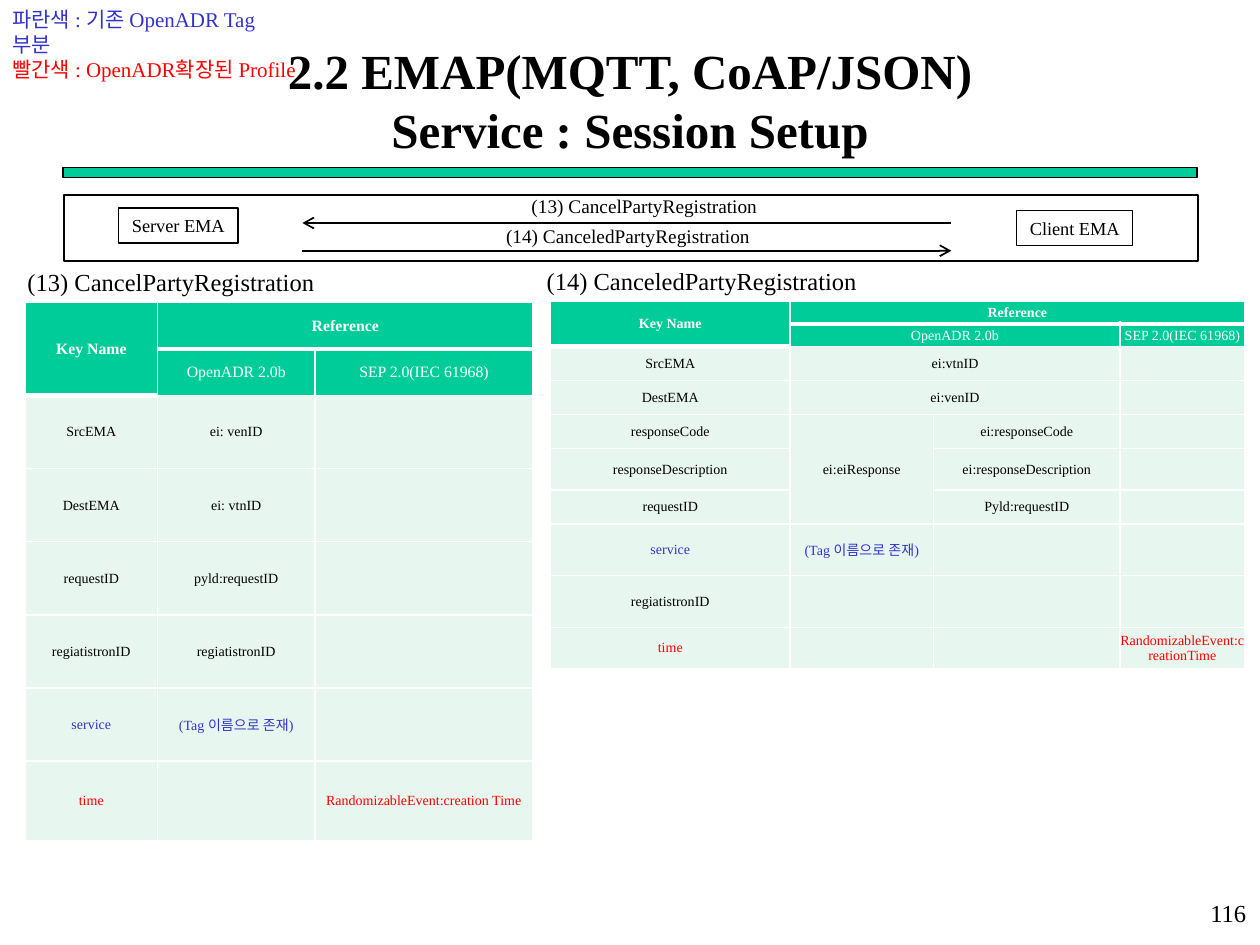
from dataclasses import dataclass

from lxml import etree
from pptx import Presentation
from pptx.dml.color import RGBColor
from pptx.enum.shapes import MSO_CONNECTOR, MSO_SHAPE
from pptx.enum.text import MSO_ANCHOR, MSO_AUTO_SIZE, PP_ALIGN
from pptx.oxml.ns import qn
from pptx.util import Inches, Pt

RECTANGLE = MSO_SHAPE.RECTANGLE
STRAIGHT = MSO_CONNECTOR.STRAIGHT
MIDDLE = MSO_ANCHOR.MIDDLE
NO_FIT = MSO_AUTO_SIZE.NONE
LEFT, CENTER, RIGHT = PP_ALIGN.LEFT, PP_ALIGN.CENTER, PP_ALIGN.RIGHT
FONT = "Times New Roman"
COLORS = {"black": "000000", "white": "FFFFFF", "green": "00CC99",
          "mint": "E7F6EF", "blue": "3333CC", "red": "FF0000"}
ROW_COLORS = {"service": "blue", "time": "red"}
HEADER_ROWS = 2


@dataclass
class Label:
    text: str
    at: tuple[float, float, float, float]
    size: float
    align: PP_ALIGN = LEFT


@dataclass
class Arrow:
    tip: tuple[float, float]
    end: tuple[float, float]


@dataclass
class Mapping:
    left: float
    top: float
    header_size: float
    columns: list[float]
    heights: list[float]
    rows: list[list[str]]
    merges: list[tuple[int, int, int, int]]  # first row, column, last row, column


LABELS = [
    Label("116", (7.91, 7.08, 2.08, 0.42), 14, RIGHT),
    Label("(13) CancelPartyRegistration", (0.12, 2.07, 2.64, 0.34), 14),
    Label("(14) CanceledPartyRegistration", (4.24, 2.06, 2.85, 0.34), 14),
]
MESSAGES = [
    Label("(14) CanceledPartyRegistration", (3.86, 1.73, 2.25, 0.29), 11, CENTER),
    Label("(13) CancelPartyRegistration", (4.12, 1.49, 2.1, 0.29), 11),
]
ACTORS = [
    Label("Client EMA", (8.07, 1.67, 0.92, 0.28), 10.5, CENTER),
    Label("Server EMA", (0.94, 1.65, 0.95, 0.28), 10.5, CENTER),
]
ARROWS = [Arrow((2.4, 1.77), (7.55, 1.77)), Arrow((7.55, 1.99), (2.4, 1.99))]
LEGEND = [("파란색 : 기존 OpenADR Tag 부분", "blue"),
          ("빨간색 : OpenADR확장된 Profile", "red")]
MAPPINGS = [
    Mapping(
        0.2, 2.4, 9, [1.05, 1.25, 1.73], [0.37] * 2 + [0.58] * 5 + [0.63],
        [["Key Name", "Reference", ""],
         ["", "OpenADR 2.0b", "SEP 2.0(IEC 61968)"],
         ["SrcEMA", "ei: venID", ""],
         ["DestEMA", "ei: vtnID", ""],
         ["requestID", "pyld:requestID", ""],
         ["regiatistronID", "regiatistronID", ""],
         ["service", "(Tag 이름으로 존재)", ""],
         ["time", "", "RandomizableEvent:creation Time"]],
        [(0, 0, 1, 0), (0, 1, 0, 2)]),
    Mapping(
        4.37, 2.39, 8, [1.9, 1.14, 1.48, 0.99],
        [0.18] * 2 + [0.27] * 3 + [0.33, 0.27, 0.41, 0.41, 0.33],
        [["Key Name", "Reference", "", ""],
         ["", "OpenADR 2.0b", "", "SEP 2.0(IEC 61968)"],
         ["SrcEMA", "ei:vtnID", "", ""],
         ["DestEMA", "ei:venID", "", ""],
         ["responseCode", "ei:eiResponse", "ei:responseCode", ""],
         ["responseDescription", "", "ei:responseDescription", ""],
         ["requestID", "", "Pyld:requestID", ""],
         ["service", "(Tag 이름으로 존재)", "", ""],
         ["regiatistronID", "", "", ""],
         ["time", "", "", "RandomizableEvent:creationTime"]],
        [(0, 0, 1, 0), (0, 1, 0, 3), (1, 1, 1, 2), (2, 1, 2, 2),
         (3, 1, 3, 2), (4, 1, 6, 1)]),
]


def rgb(name: str) -> RGBColor:
    return RGBColor.from_string(COLORS[name])


def add_run(para, text: str, size: float, color: str = "black", bold: bool = False) -> None:
    run = para.add_run()
    run.text = text
    run.font.name, run.font.size, run.font.bold = FONT, Pt(size), bold
    run.font.color.rgb = rgb(color)


def write_label(shape, label: Label) -> None:
    shape.text_frame.word_wrap = False
    para = shape.text_frame.paragraphs[0]
    para.alignment = label.align
    add_run(para, label.text, label.size)


def add_label(slide, label: Label) -> None:
    write_label(slide.shapes.add_textbox(*map(Inches, label.at)), label)


def add_box(slide, at: tuple[float, ...], fill: str, width: float):
    box = slide.shapes.add_shape(RECTANGLE, *map(Inches, at))
    box.shadow.inherit = False
    box.fill.solid()
    box.fill.fore_color.rgb = rgb(fill)
    box.line.color.rgb = rgb("black")
    box.line.width = Pt(width)
    return box


def add_arrow(slide, arrow: Arrow) -> None:
    line = slide.shapes.add_connector(STRAIGHT, *map(Inches, arrow.tip + arrow.end))
    line.line.color.rgb = rgb("black")
    line.line.width = Pt(1)
    etree.SubElement(line.line._get_or_add_ln(), qn("a:headEnd"), type="arrow")
    etree.SubElement(line._element.spPr, qn("a:effectLst"))


def add_borders(cell, bottom: float) -> None:
    properties = cell._tc.get_or_add_tcPr()
    for side, width in (("L", 1), ("R", 1), ("T", 1), ("B", bottom)):
        border = etree.SubElement(properties, qn(f"a:ln{side}"), w=str(Pt(width)))
        fill = etree.SubElement(border, qn("a:solidFill"))
        etree.SubElement(fill, qn("a:srgbClr"), val=COLORS["white"])


def format_cell(cell, text: str, size: float, color: str, fill: str,
                bold: bool, bottom: float) -> None:
    cell.margin_left = cell.margin_right = cell.margin_top = cell.margin_bottom = 0
    cell.vertical_anchor = MIDDLE
    add_borders(cell, bottom)
    cell.fill.solid()
    cell.fill.fore_color.rgb = rgb(fill)
    para = cell.text_frame.paragraphs[0]
    para.alignment = CENTER
    if text:
        add_run(para, text, size, color, bold)
    else:  # keeps empty rows from growing
        etree.SubElement(para._p, qn("a:endParaRPr"), sz=str(int(size * 100)))


def add_mapping(slide, mapping: Mapping) -> None:
    table = slide.shapes.add_table(
        len(mapping.rows), len(mapping.columns), Inches(mapping.left), Inches(mapping.top),
        Inches(sum(mapping.columns)), Inches(sum(mapping.heights))).table
    for column, width in zip(table.columns, mapping.columns):
        column.width = Inches(width)
    for r, (values, height) in enumerate(zip(mapping.rows, mapping.heights)):
        table.rows[r].height = Inches(height)
        header = r < HEADER_ROWS
        size = mapping.header_size if header else 8
        color = "white" if header else ROW_COLORS.get(values[0], "black")
        fill = "green" if header else "mint"
        for c, text in enumerate(values):
            thick = r == 0 or (header and c == 0)
            format_cell(table.cell(r, c), text, size, color, fill, r == 0, 3 if thick else 1)
    for top, left, bottom, right in mapping.merges:
        table.cell(top, left).merge(table.cell(bottom, right))


def main() -> None:
    deck = Presentation()
    deck.slide_width, deck.slide_height = Inches(10), Inches(7.5)
    slide = deck.slides.add_slide(deck.slide_layouts[5])

    # Title and rule below it
    add_box(slide, (0.5, 1.33, 9, 0.08), "green", 0.75)
    title = slide.shapes.title
    title.left, title.top, title.width, title.height = map(Inches, (0.5, 0.33, 9, 0.92))
    title.text_frame.auto_size = NO_FIT
    title.text_frame.vertical_anchor = MIDDLE
    para = title.text_frame.paragraphs[0]
    para.alignment = CENTER
    add_run(para, "2.2 EMAP(MQTT, CoAP/JSON)", 28, bold=True)
    para.add_line_break()
    add_run(para, "Service : Session Setup", 28, bold=True)

    # Tables with their headings, and page number
    for mapping in MAPPINGS:
        add_mapping(slide, mapping)
    for label in LABELS:
        add_label(slide, label)

    # Message exchange
    add_box(slide, (0.51, 1.55, 9, 0.52), "white", 1)
    for actor in ACTORS:
        write_label(add_box(slide, actor.at, "white", 0.75), actor)
    for arrow in ARROWS:
        add_arrow(slide, arrow)
    for message in MESSAGES:
        add_label(slide, message)

    # Colour legend
    legend = slide.shapes.add_textbox(0, 0, Inches(2.56), Inches(0.71)).text_frame
    legend.word_wrap = True
    legend.margin_right = Inches(0.2)
    for i, (text, color) in enumerate(LEGEND):
        para = legend.add_paragraph() if i else legend.paragraphs[0]
        add_run(para, text, 12, color)

    deck.save("out.pptx")


if __name__ == "__main__":
    main()
